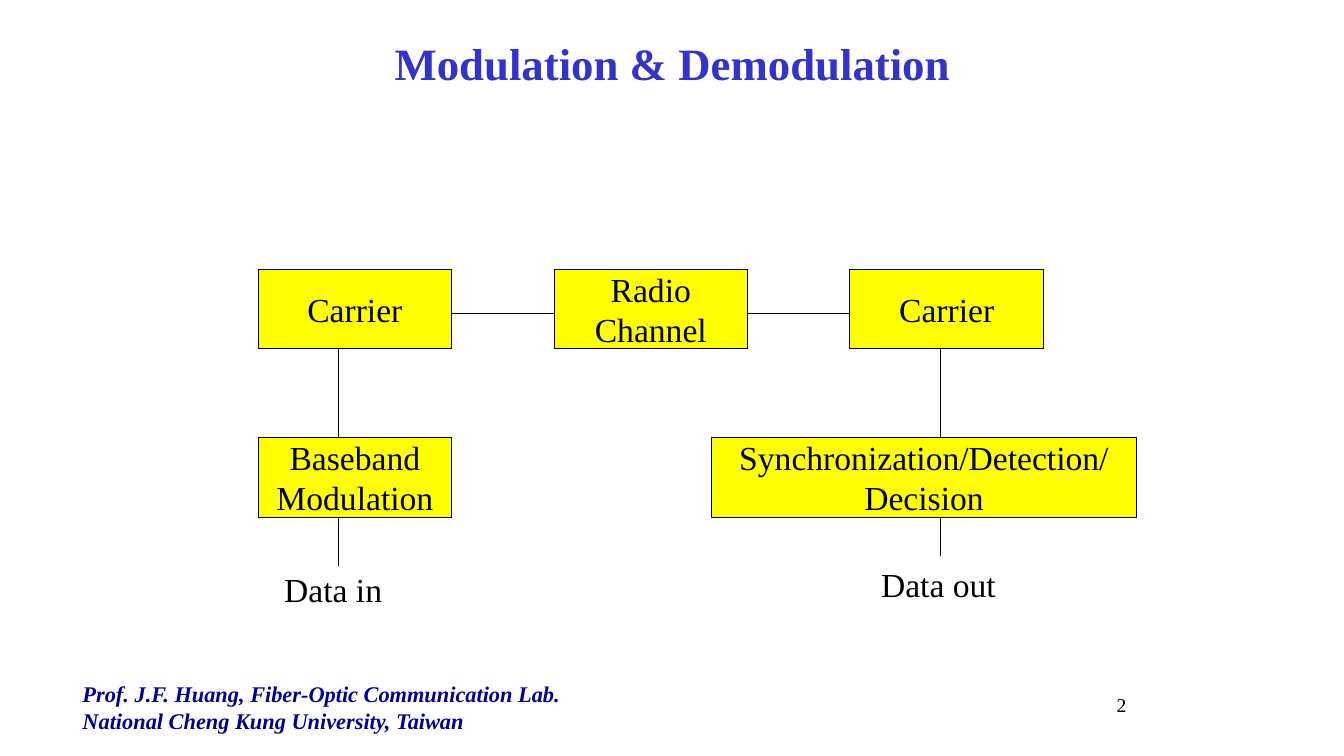
"""Build the modulation and demodulation block diagram slide."""
from dataclasses import dataclass

from pptx import Presentation
from pptx.dml.color import RGBColor
from pptx.enum import shapes, text
from pptx.util import Inches, Pt


@dataclass(frozen=True)
class Theme:
    """Colours, type sizes and line width of the slide."""
    font: str = "Times New Roman"
    ink: RGBColor = RGBColor(0x00, 0x00, 0x00)
    block: RGBColor = RGBColor(0xFF, 0xFF, 0x00)
    title: RGBColor = RGBColor(0x33, 0x33, 0xCC)
    footer: RGBColor = RGBColor(0x00, 0x00, 0x99)
    title_size: int = 32
    body_size: int = 24
    footer_size: int = 16
    number_size: int = 14
    line_width: float = 0.75


@dataclass(frozen=True)
class Block:
    """A labelled box of the diagram."""
    lines: tuple[str, ...]
    left: float
    top: float
    width: float = 1.92
    height: float = 0.79


@dataclass(frozen=True)
class Label:
    """A text box with one uniform style."""
    lines: tuple[str, ...]
    left: float
    top: float
    width: float
    height: float
    size: int
    color: RGBColor
    align: text.PP_ALIGN = text.PP_ALIGN.LEFT
    bold: bool = False
    italic: bool = False
    wrap: bool = True
    line_spacing: float = 1.0
    space_before: float = 0


THEME = Theme()
CARRIER_TOP, BASEBAND_TOP = 2.67, 4.34
COLUMN_LEFT, COLUMN_STEP = 2.56, 2.935
BLOCKS = (
    Block(("Baseband", "Modulation"), COLUMN_LEFT, BASEBAND_TOP),
    *(Block(lines, COLUMN_LEFT + i * COLUMN_STEP, CARRIER_TOP)
      for i, lines in enumerate((("Carrier",), ("Radio", "Channel"), ("Carrier",)))),
    Block(("Synchronization/Detection/", "Decision"), 7.06, BASEBAND_TOP, 4.21),
)
SIGNAL_PATH = ((3.36, 5.62), (3.36, 3.11), (9.33, 3.11), (9.33, 5.52))
LABELS = (
    Label(("Prof. J.F. Huang, Fiber-Optic Communication Lab.",
           "National Cheng Kung University, Taiwan"), 0.72, 6.75, 6.5, 0.58,
          THEME.footer_size, THEME.footer, bold=True, italic=True,
          line_spacing=0.8, space_before=3.7),
    Label(("2",), 9.01, 6.83, 2.26, 0.5, THEME.number_size, THEME.ink,
          text.PP_ALIGN.RIGHT),
    Label(("Modulation & Demodulation",), 0.67, 0.3, 12, 1.25, THEME.title_size,
          THEME.title, text.PP_ALIGN.CENTER, bold=True),
    Label(("Data in",), 2.72, 5.59, 1.18, 0.51, THEME.body_size, THEME.ink, wrap=False),
    Label(("Data out",), 8.64, 5.54, 1.35, 0.51, THEME.body_size, THEME.ink, wrap=False),
)


def write_lines(tf, lines: tuple[str, ...], size: int, color: RGBColor,
                align: text.PP_ALIGN) -> None:
    """Fill a text frame with one paragraph per line."""
    for i, line in enumerate(lines):
        p = tf.paragraphs[0] if i == 0 else tf.add_paragraph()
        p.text = line
        p.alignment = align
        p.font.name = THEME.font
        p.font.size = Pt(size)
        p.font.color.rgb = color


def outline(sp) -> None:
    """Give a shape the thin diagram line and no shadow."""
    sp.shadow.inherit = False
    sp.line.color.rgb = THEME.ink
    sp.line.width = Pt(THEME.line_width)


def draw_signal_path(s, points: tuple[tuple[float, float], ...]) -> None:
    """Draw the open line that runs behind the blocks."""
    start, *rest = [(Inches(x), Inches(y)) for x, y in points]
    builder = s.shapes.build_freeform(*start)
    builder.add_line_segments(rest, close=False)
    sp = builder.convert_to_shape()
    sp.fill.background()
    outline(sp)


def draw_block(s, block: Block) -> None:
    """Draw a filled box with centred text."""
    sp = s.shapes.add_shape(
        shapes.MSO_SHAPE.RECTANGLE, Inches(block.left), Inches(block.top),
        Inches(block.width), Inches(block.height))
    sp.fill.solid()
    sp.fill.fore_color.rgb = THEME.block
    outline(sp)
    tf = sp.text_frame
    tf.word_wrap = False
    tf.vertical_anchor = text.MSO_ANCHOR.MIDDLE
    write_lines(tf, block.lines, THEME.body_size, THEME.ink, text.PP_ALIGN.CENTER)


def draw_label(s, label: Label) -> None:
    """Draw a text box."""
    tf = s.shapes.add_textbox(
        Inches(label.left), Inches(label.top),
        Inches(label.width), Inches(label.height)).text_frame
    tf.word_wrap = label.wrap
    write_lines(tf, label.lines, label.size, label.color, label.align)
    for p in tf.paragraphs:
        p.font.bold = label.bold
        p.font.italic = label.italic
        p.line_spacing = label.line_spacing
        p.space_before = Pt(label.space_before)


def main() -> None:
    """Build and save the slide."""
    prs = Presentation()
    prs.slide_width, prs.slide_height = Inches(13.33), Inches(7.5)
    s = prs.slides.add_slide(prs.slide_layouts[6])
    draw_signal_path(s, SIGNAL_PATH)
    for block in BLOCKS:
        draw_block(s, block)
    for label in LABELS:
        draw_label(s, label)
    prs.save("out.pptx")


if __name__ == "__main__":
    main()
